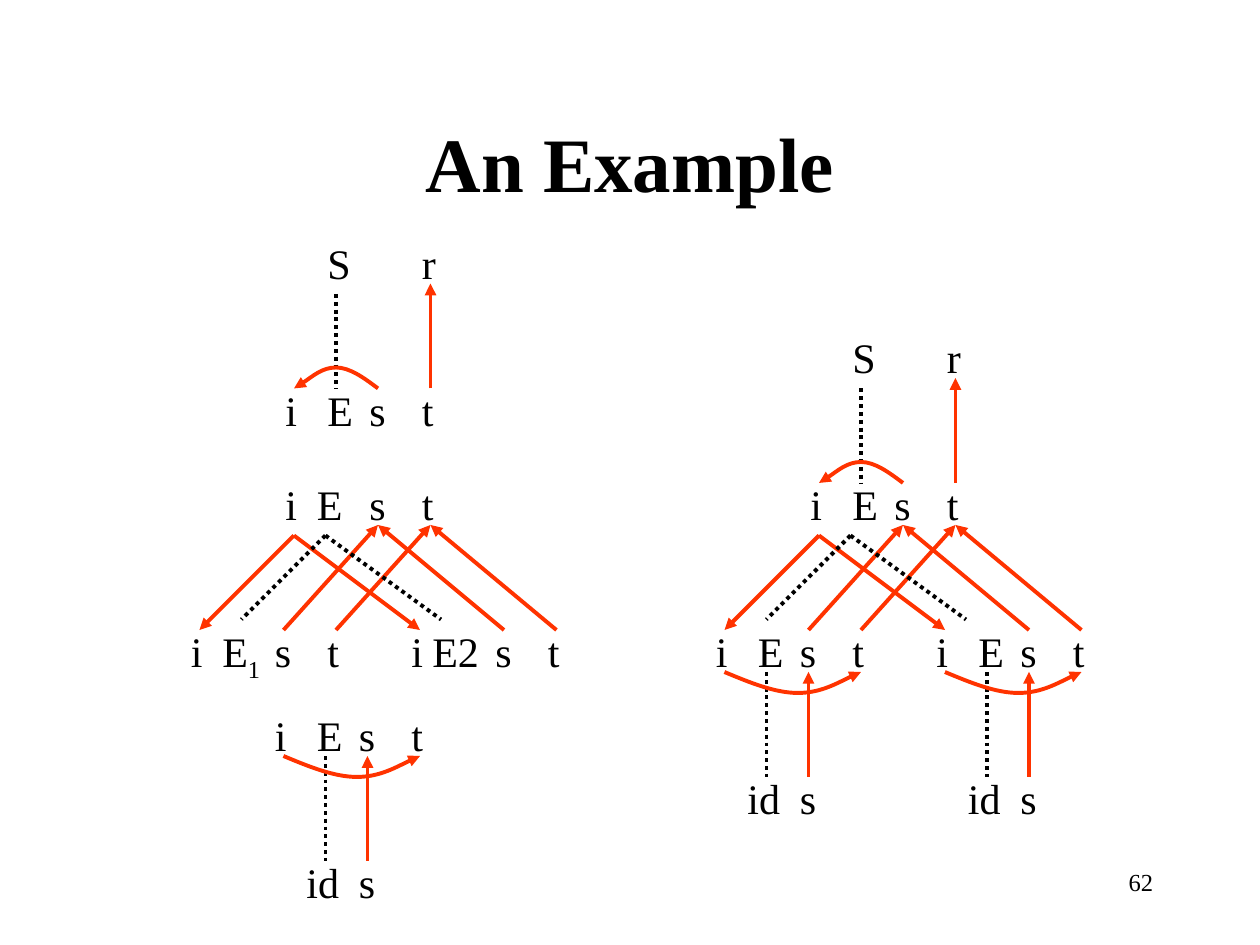
"""Build the slide of parse trees with inherited and synthesized attributes."""
from lxml import etree
from pptx import Presentation
from pptx.dml.color import RGBColor
from pptx.enum.dml import MSO_LINE
from pptx.enum.shapes import MSO_CONNECTOR
from pptx.enum.text import MSO_ANCHOR, MSO_AUTO_SIZE, PP_ALIGN
from pptx.oxml.ns import qn
from pptx.util import Inches, Pt

STRAIGHT = MSO_CONNECTOR.STRAIGHT
DOTTED = MSO_LINE.ROUND_DOT
MIDDLE = MSO_ANCHOR.MIDDLE
FIT = MSO_AUTO_SIZE.SHAPE_TO_FIT_TEXT
LEFT, CENTER, RIGHT = PP_ALIGN.LEFT, PP_ALIGN.CENTER, PP_ALIGN.RIGHT
FONT, BLACK, RED = "Times New Roman", "000000", "FF3300"
GRID = Inches(1) / 12
WIDTHS = {"i": 0.29, "t": 0.29, "r": 0.31, "s": 0.33, "S": 0.38,
          "E": 0.4, "id": 0.46, "E1": 0.5, "E2": 0.57}
ROOT_ARC = [(10, 1), (8.67, 0), (7.33, -1), (6, -1), (4.67, -1), (2.67, 0.67), (2, 1)]
LEAF_ARC = [(2, 5), (4.4, 6), (6.8, 7), (9, 7), (11.2, 7), (14, 5.4), (15, 5)]

prs = Presentation()
prs.slide_width, prs.slide_height = Inches(10), Inches(7.5)
s = prs.slides.add_slide(prs.slide_layouts[6])


def add_text(runs, x, y, w, h, size, align=LEFT, bold=False):
    tb = s.shapes.add_textbox(int(x), int(y), Inches(w), Inches(h))
    tf = tb.text_frame
    p = tf.paragraphs[0]
    p.alignment = align
    for i, text in enumerate(runs):
        r = p.add_run()
        r.text = text
        r.font.name, r.font.size, r.font.bold = FONT, Pt(size), bold
        r.font.color.rgb = RGBColor.from_string(BLACK)
        if i:
            r.font._element.set("baseline", "-25000")
    return tf


def style_line(sp, color):
    sp.line.color.rgb = RGBColor.from_string(color)
    sp.line.width = Pt(2.25)
    if color == RED:
        ln = sp.line._get_or_add_ln()
        etree.SubElement(ln, qn("a:tailEnd"), type="triangle")
    else:
        sp.line.dash_style = DOTTED


tf = add_text(["An Example"], Inches(0.75), Inches(0.66), 8.5, 1.25, 44, CENTER, True)
tf.word_wrap, tf.vertical_anchor = True, MIDDLE

rows = [(17, 59, "E1", 3, ""), (38, 59, "E2", 2, ""), (26, 45, "E", 3, ""),
        (25, 67, "E", 4, "leaf"), (26, 36, "E", 4, "root"), (76, 45, "E", 4, "root"),
        (88, 59, "E", 4, "leaf"), (67, 59, "E", 4, "leaf")]
labels, links, arcs = [], [], []
for x, y, e, e_gap, role in rows:
    if role == "root":
        labels += [("S", x + 4, y - 14), ("r", x + 13, y - 14)]
        links += [(x + 6, y - 8, x + 6, y + 1, BLACK), (x + 15, y + 1, x + 15, y - 9, RED)]
        arcs.append([(x + dx, y + dy) for dx, dy in ROOT_ARC])
    labels += [(e, x + e_gap, y), ("s", x + 8, y), ("i", x, y), ("t", x + 13, y)]
    if role == "leaf":
        labels += [("id", x + 3, y + 14), ("s", x + 8, y + 14)]
        links += [(x + 6, y + 5, x + 6, y + 15, BLACK), (x + 10, y + 15, x + 10, y + 5, RED)]
        arcs.append([(x + dx, y + dy) for dx, dy in LEAF_ARC])

for x in (26, 76):
    links += [(x + 2, 51, x - 7, 60, RED), (x + 2, 51, x + 14, 60, RED)]
    for top in (x + 10, x + 15):
        links += [(top - 9, 60, top, 50, RED), (top + 12, 60, top, 50, RED)]
    links += [(x + 5, 51, x - 3, 59, BLACK), (x + 5, 51, x + 16, 59, BLACK)]

for text, x, y in labels:
    runs = ["E", "1"] if text == "E1" else [text]
    height = 0.56 if text == "E1" else 0.5
    tf = add_text(runs, x * GRID, y * GRID, WIDTHS[text], height, 24)
    tf.word_wrap, tf.auto_size = False, FIT

for *ends, color in links:
    sp = s.shapes.add_connector(STRAIGHT, *[int(end * GRID) for end in ends])
    style_line(sp, color)
    etree.SubElement(sp._element.spPr, qn("a:effectLst"))

for points in arcs:
    start, *rest = [(int(x * GRID), int(y * GRID)) for x, y in points]
    builder = s.shapes.build_freeform(*start)
    builder.add_line_segments(rest, close=False)
    sp = builder.convert_to_shape()
    sp.shadow.inherit = False
    sp.fill.background()
    style_line(sp, RED)
    outline = sp._element.find(".//" + qn("a:path"))
    segments = outline.findall(qn("a:lnTo"))
    for i in range(0, len(segments), 3):
        curve = etree.SubElement(outline, qn("a:cubicBezTo"))
        for segment in segments[i:i + 3]:
            curve.append(segment[0])
            outline.remove(segment)

tf = add_text(["62"], Inches(7.17), Inches(6.83), 2.08, 0.5, 14, RIGHT)
tf.word_wrap = True

prs.save("out.pptx")
